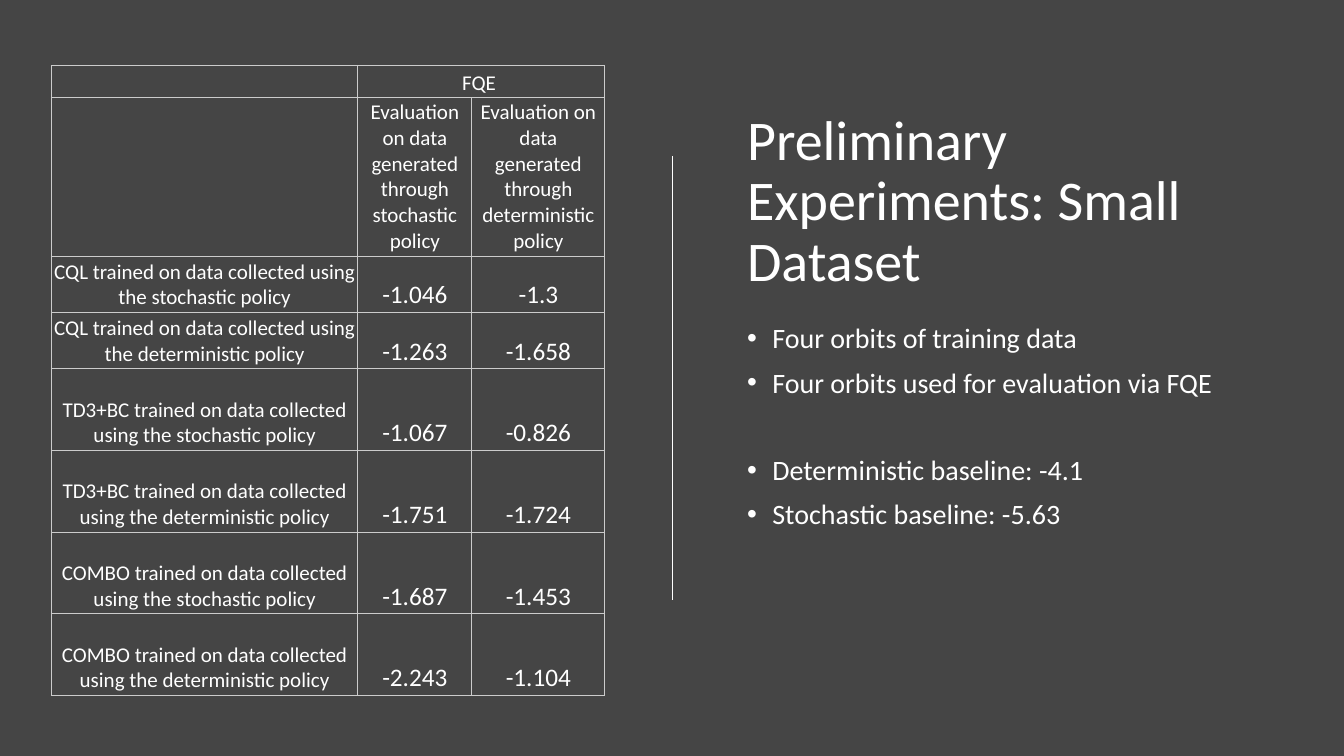
import pptx
import pptx.chart.data
import pptx.dml.color
import pptx.enum.shapes
import pptx.enum.text
import pptx.oxml
import pptx.oxml.ns
import pptx.util
from pptx.util import Inches

FONT = "Calibri"
WHITE = "FFFFFF"
BACKGROUND = "454545"
BORDER = "CCCCCC"
COLUMN_WIDTHS = (3.04, 1.13, 1.32)
ROW_HEIGHTS = (0.32, 1.53, 0.56, 0.56, 0.81, 0.81, 0.81, 0.81)
POLICIES = ("stochastic", "deterministic")
SCORES = {
    "CQL": (("-1.046", "-1.3"), ("-1.263", "-1.658")),
    "TD3+BC": (("-1.067", "-0.826"), ("-1.751", "-1.724")),
    "COMBO": (("-1.687", "-1.453"), ("-2.243", "-1.104")),
}
NOTES = (
    ("Four orbits of training data", 0),
    ("Four orbits used for evaluation via FQE", 10),
    ("Deterministic baseline: -4.1", 41),
    ("Stochastic baseline: -5.63", 10),
)


def color(value):
    """Return the colour for a hex string."""
    return pptx.dml.color.RGBColor.from_string(value)


def add_xml(parent, tag, **attributes):
    """Append a drawing element to a parent and return it."""
    child = pptx.oxml.parse_xml(f"<a:{tag} {pptx.oxml.ns.nsdecls('a')}/>")
    for name, value in attributes.items():
        child.set(name, str(value))
    parent.append(child)
    return child


def add_text(paragraph, text, size):
    """Add one white run to a paragraph."""
    run = paragraph.add_run()
    run.text = text
    run.font.name = FONT
    run.font.size = pptx.util.Pt(size)
    run.font.color.rgb = color(WHITE)


def place(placeholder, left, top, width, height, anchor):
    """Move a placeholder and return its text frame."""
    placeholder.left, placeholder.top = Inches(left), Inches(top)
    placeholder.width, placeholder.height = Inches(width), Inches(height)
    frame = placeholder.text_frame
    frame.word_wrap = True
    frame.auto_size = pptx.enum.text.MSO_AUTO_SIZE.NONE
    frame.vertical_anchor = anchor
    return frame


def fill_title(slide):
    """Write the slide title."""
    frame = place(slide.shapes.title, 7.31, 1.02, 5.35, 1.94,
                  pptx.enum.text.MSO_ANCHOR.BOTTOM)
    heading = frame.paragraphs[0]
    heading.alignment = pptx.enum.text.PP_ALIGN.LEFT
    heading.line_spacing = 0.9
    add_text(heading, "Preliminary Experiments: Small Dataset", 40)


def fill_notes(slide):
    """Write the bulleted notes under the title."""
    frame = place(slide.placeholders[1], 7.31, 3.17, 5.35, 3.51,
                  pptx.enum.text.MSO_ANCHOR.TOP)
    for index, (text, gap) in enumerate(NOTES):
        note = frame.add_paragraph() if index else frame.paragraphs[0]
        properties = note._p.get_or_add_pPr()
        properties.set("marL", str(Inches(0.25)))
        properties.set("indent", str(Inches(-0.25)))
        add_xml(properties, "buFont", typeface="Arial")
        add_xml(properties, "buChar", char="•")
        note.line_spacing = 0.9
        note.space_before = pptx.util.Pt(gap)
        add_text(note, text, 20)


def add_divider(slide):
    """Draw the vertical line between table and text."""
    divider = slide.shapes.add_connector(
        pptx.enum.shapes.MSO_CONNECTOR.STRAIGHT,
        Inches(6.67), Inches(1.55), Inches(6.67), Inches(5.95))
    divider.line.color.rgb = color(WHITE)
    divider.line.width = pptx.util.Pt(1.25)
    add_xml(divider._element.spPr, "effectLst")


def format_cell(cell, text, size):
    """Give a cell its borders, margins and centred text."""
    cell.margin_left = cell.margin_right = Inches(0.02)
    cell.margin_top = cell.margin_bottom = Inches(0.02)
    cell.vertical_anchor = pptx.enum.text.MSO_ANCHOR.BOTTOM
    properties = cell._tc.get_or_add_tcPr()
    for side in ("lnL", "lnR", "lnT", "lnB"):
        border = add_xml(properties, side, w=pptx.util.Pt(0.75))
        add_xml(add_xml(border, "solidFill"), "srgbClr", val=BORDER)
    cell.fill.background()
    paragraph = cell.text_frame.paragraphs[0]
    paragraph.alignment = pptx.enum.text.PP_ALIGN.CENTER
    if text:
        add_text(paragraph, text, size)
    else:
        paragraph._p.get_or_add_endParaRPr().set("sz", str(size * 100))


def score_rows():
    """List the table's text, row by row."""
    rows = [("", "FQE ", ""),
            ("", *(f"Evaluation on data generated through {policy} policy"
                   for policy in POLICIES))]
    for method, results in SCORES.items():
        for policy, scores in zip(POLICIES, results):
            label = f"{method} trained on data collected using the {policy} policy"
            rows.append((label, *scores))
    return rows


def add_score_table(slide):
    """Add the table of evaluation scores."""
    table = slide.shapes.add_table(
        len(ROW_HEIGHTS), len(COLUMN_WIDTHS), Inches(0.51), Inches(0.65),
        Inches(sum(COLUMN_WIDTHS)), Inches(sum(ROW_HEIGHTS))).table
    table.first_row = table.horz_banding = False
    for column, width in zip(table.columns, COLUMN_WIDTHS):
        column.width = Inches(width)
    for row, height in zip(table.rows, ROW_HEIGHTS):
        row.height = Inches(height)
    for r, texts in enumerate(score_rows()):
        for c, text in enumerate(texts):
            format_cell(table.cell(r, c), text, 18 if r > 1 and c else 15)
    table.cell(0, 1).merge(table.cell(0, 2))


def main():
    """Build and save the slide."""
    deck = pptx.Presentation()
    deck.slide_width, deck.slide_height = Inches(13.33), Inches(7.5)
    slide = deck.slides.add_slide(deck.slide_layouts[1])
    slide.background.fill.solid()
    slide.background.fill.fore_color.rgb = color(BACKGROUND)
    fill_title(slide)
    add_divider(slide)
    fill_notes(slide)
    add_score_table(slide)
    deck.save("out.pptx")


if __name__ == "__main__":
    main()
